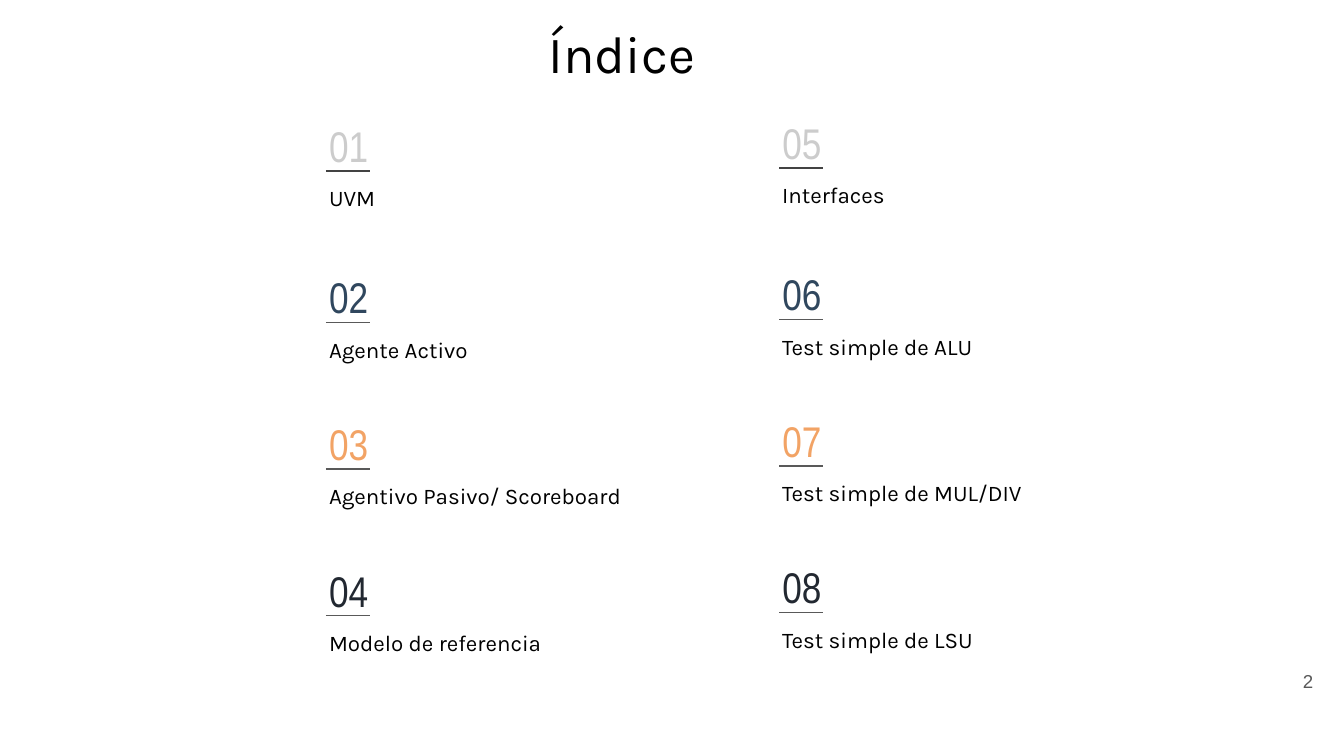
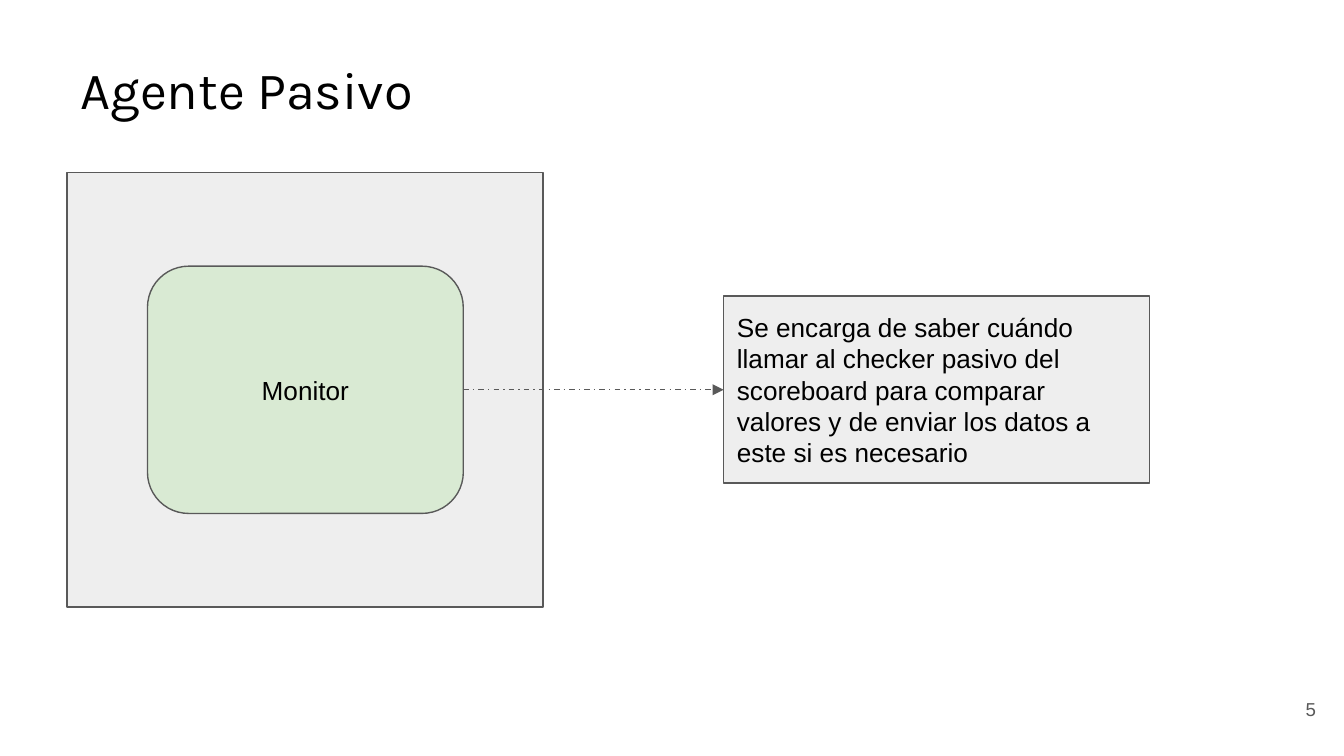
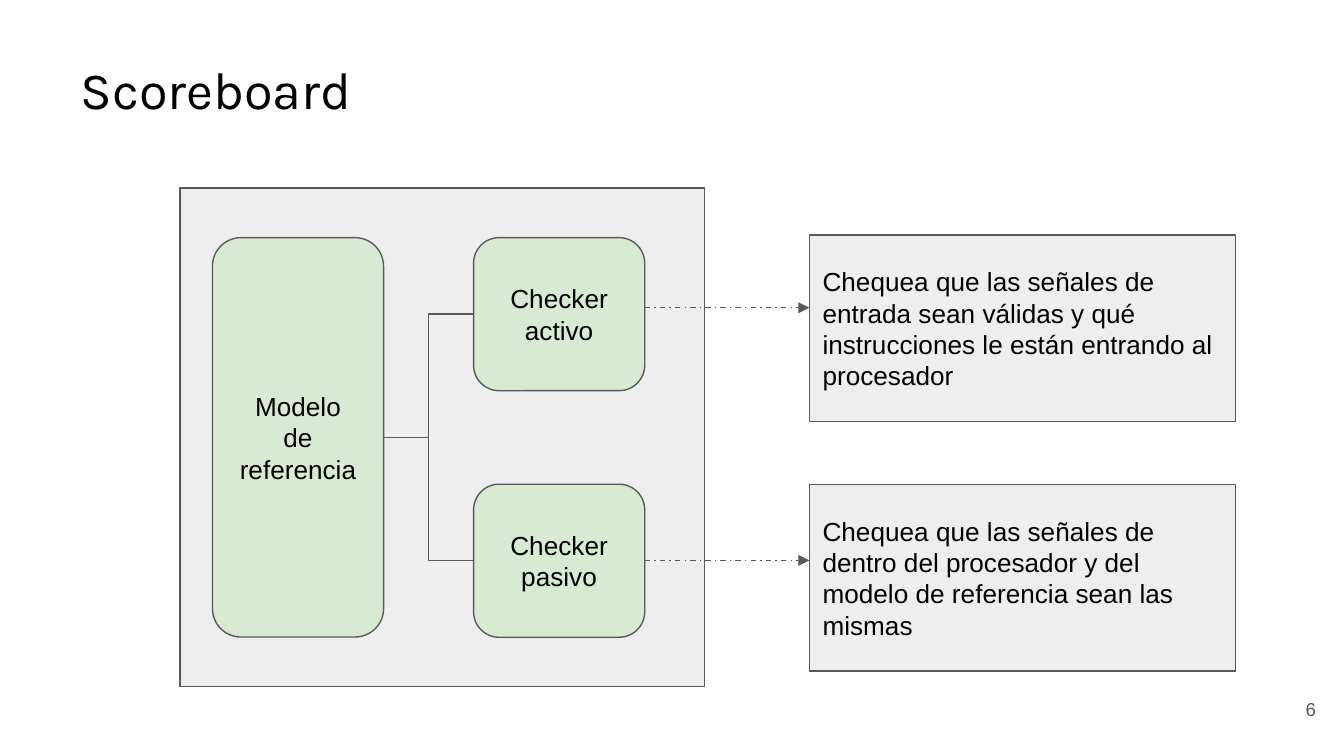
from dataclasses import dataclass

from lxml.etree import SubElement
from pptx import Presentation
from pptx.dml.color import RGBColor as RGB
from pptx.enum.dml import MSO_LINE as Dash
from pptx.enum.shapes import MSO_CONNECTOR as Link, MSO_SHAPE as Shape
from pptx.enum.text import MSO_ANCHOR as Anchor, MSO_AUTO_SIZE as AutoSize, PP_ALIGN as Align
from pptx.oxml.ns import qn
from pptx.util import Pt


@dataclass(frozen=True)
class Theme:
    # Colours
    text: str = "000000"
    line: str = "595959"
    first_rule: str = "434343"
    panel: str = "EEEEEE"
    block: str = "D9EAD3"
    rows: tuple = ("CCCCCC", "30475E", "F2A365", "222831")
    # Fonts
    heading_font: str = "Karla"
    body_font: str = "Arial"
    number_font: str = "Arial Narrow"
    # Sizes
    title_size: float = 28
    number_size: float = 23
    body_size: float = 14
    caption_size: float = 12
    page_size: float = 10
    line_width: float = 0.75
    inset: float = 7.2


THEME = Theme()
TITLE_BOX = (36, 32.4, 339.1, 30.2)
PAGE_BOX = (668.9, 364.3, 43.2, 31)
TITLE_ONLY = 5


# Text

def write(box, lines, size, font=THEME.body_font, color=THEME.text,
          align=Align.LEFT, anchor=Anchor.MIDDLE):
    """Fill the text frame of a box, one paragraph for each line."""
    frame = box.text_frame
    frame.word_wrap = True
    frame.auto_size = AutoSize.NONE
    frame.vertical_anchor = anchor
    frame.margin_left = frame.margin_right = Pt(THEME.inset)
    frame.margin_top = frame.margin_bottom = Pt(THEME.inset)
    for index, line in enumerate(lines):
        para = frame.add_paragraph() if index else frame.paragraphs[0]
        para.alignment = align
        span = para.add_run()
        span.text = line
        span.font.size = Pt(size)
        span.font.name = font
        span.font.color.rgb = RGB.from_string(color)


def add_text(page, area, text, size, **style):
    box = page.shapes.add_textbox(*map(Pt, area))
    write(box, [text], size, **style)


def add_page(deck, title, number, title_box=TITLE_BOX, page_box=PAGE_BOX, align=Align.LEFT):
    """Add a page with its title and page number."""
    page = deck.slides.add_slide(deck.slide_layouts[TITLE_ONLY])
    heading = page.shapes.title
    heading.left, heading.top, heading.width, heading.height = map(Pt, title_box)
    write(heading, [title], THEME.title_size, THEME.heading_font, align=align)
    add_text(page, page_box, number, THEME.page_size, color=THEME.line, align=Align.RIGHT)
    return page


# Shapes and lines

def add_box(page, kind, area, fill, lines=(), align=Align.LEFT):
    box = page.shapes.add_shape(kind, *map(Pt, area))
    box.shadow.inherit = False
    box.fill.solid()
    box.fill.fore_color.rgb = RGB.from_string(fill)
    box.line.color.rgb = RGB.from_string(THEME.line)
    box.line.width = Pt(THEME.line_width)
    write(box, lines, THEME.body_size, align=align)
    return box


def add_panel(page, area, *lines):
    return add_box(page, Shape.RECTANGLE, area, THEME.panel, lines)


def add_block(page, area, *lines):
    return add_box(page, Shape.ROUNDED_RECTANGLE, area, THEME.block, lines, Align.CENTER)


def add_line(page, start, end, kind=Link.STRAIGHT, color=THEME.line):
    line = page.shapes.add_connector(kind, *map(Pt, start + end))
    line.line.color.rgb = RGB.from_string(color)
    line.line.width = Pt(THEME.line_width)
    SubElement(line._element.spPr, qn("a:effectLst"))
    return line


def add_arrow(page, left, right, y):
    arrow = add_line(page, (left, y), (right, y))
    arrow.line.dash_style = Dash.DASH_DOT
    SubElement(arrow.line._get_or_add_ln(), qn("a:tailEnd"), type="triangle")


def add_branch(page, source, target):
    """Join the right side of one block to the left side of another."""
    branch = add_line(page, (0, 0), (0, 0), Link.ELBOW)
    branch.begin_connect(source, 3)
    branch.end_connect(target, 1)


def add_entry(page, left, rule_y, number, caption, color, rule_color):
    """Add an index entry: number, rule and caption."""
    add_text(page, (left, rule_y - 27.8, 60, 28), number, THEME.number_size,
             font=THEME.number_font, color=color)
    add_text(page, (left, rule_y, 208, 36), caption, THEME.caption_size,
             font=THEME.heading_font, anchor=Anchor.TOP)
    add_line(page, (left + 5.4, rule_y), (left + 29, rule_y), color=rule_color)


# Pages

def index_page(deck):
    page = add_page(deck, "Índice", "2", (275.8, 5, 114.5, 46),
                    (667.4, 349.2, 43.2, 31), Align.CENTER)
    columns = (
        (169.2, 0, ("UVM", "Agente Activo", "Agentivo Pasivo/ Scoreboard", "Modelo de referencia")),
        (412, -1.6, ("Interfaces", "Test simple de ALU", "Test simple de MUL/DIV",
                     "Test simple de LSU")),
    )
    rule_tops = (91.6, 172.8, 251.3, 329.8)
    number = 0
    for left, shift, captions in columns:
        for row, (caption, top) in enumerate(zip(captions, rule_tops)):
            number += 1
            add_entry(page, left, top + shift, f"{number:02}", caption, THEME.rows[row],
                      THEME.line if row else THEME.first_rule)


def passive_agent_page(deck):
    page = add_page(deck, "Agente Pasivo", "5")
    add_panel(page, (36, 92.6, 255, 232.6))
    add_block(page, (79, 142.6, 169.2, 132.5), "Monitor")
    add_arrow(page, 248.2, 387.7, 208.8)
    add_panel(page, (387.7, 158.6, 228.2, 100.2),
              "Se encarga de saber cuándo llamar al checker pasivo del scoreboard para "
              "comparar valores y de enviar los datos a este si es necesario")


def scoreboard_page(deck):
    page = add_page(deck, "Scoreboard", "6")
    add_panel(page, (96.4, 100.8, 281, 267))
    model = add_block(page, (113.8, 127.3, 91.7, 214), "Modelo", "de", "referencia")

    # Each checker: name, block top, arrow height, note top, note
    checkers = (
        ("activo", 127.3, 164.9, 125.8,
         "Chequea que las señales de entrada sean válidas y qué instrucciones "
         "le están entrando al procesador"),
        ("pasivo", 259.4, 300.2, 259.4,
         "Chequea que las señales de dentro del procesador y del modelo de "
         "referencia sean las mismas"),
    )
    for name, block_top, arrow_y, note_top, note in checkers:
        checker = add_block(page, (253.7, block_top, 91.7, 82), "Checker", name)
        add_arrow(page, 345.4, 433.6, arrow_y)
        add_panel(page, (433.6, note_top, 228.2, 100.2), note)
        add_branch(page, model, checker)


def main():
    deck = Presentation()
    deck.slide_width, deck.slide_height = Pt(720), Pt(405)
    index_page(deck)
    passive_agent_page(deck)
    scoreboard_page(deck)
    deck.save("out.pptx")


if __name__ == "__main__":
    main()
